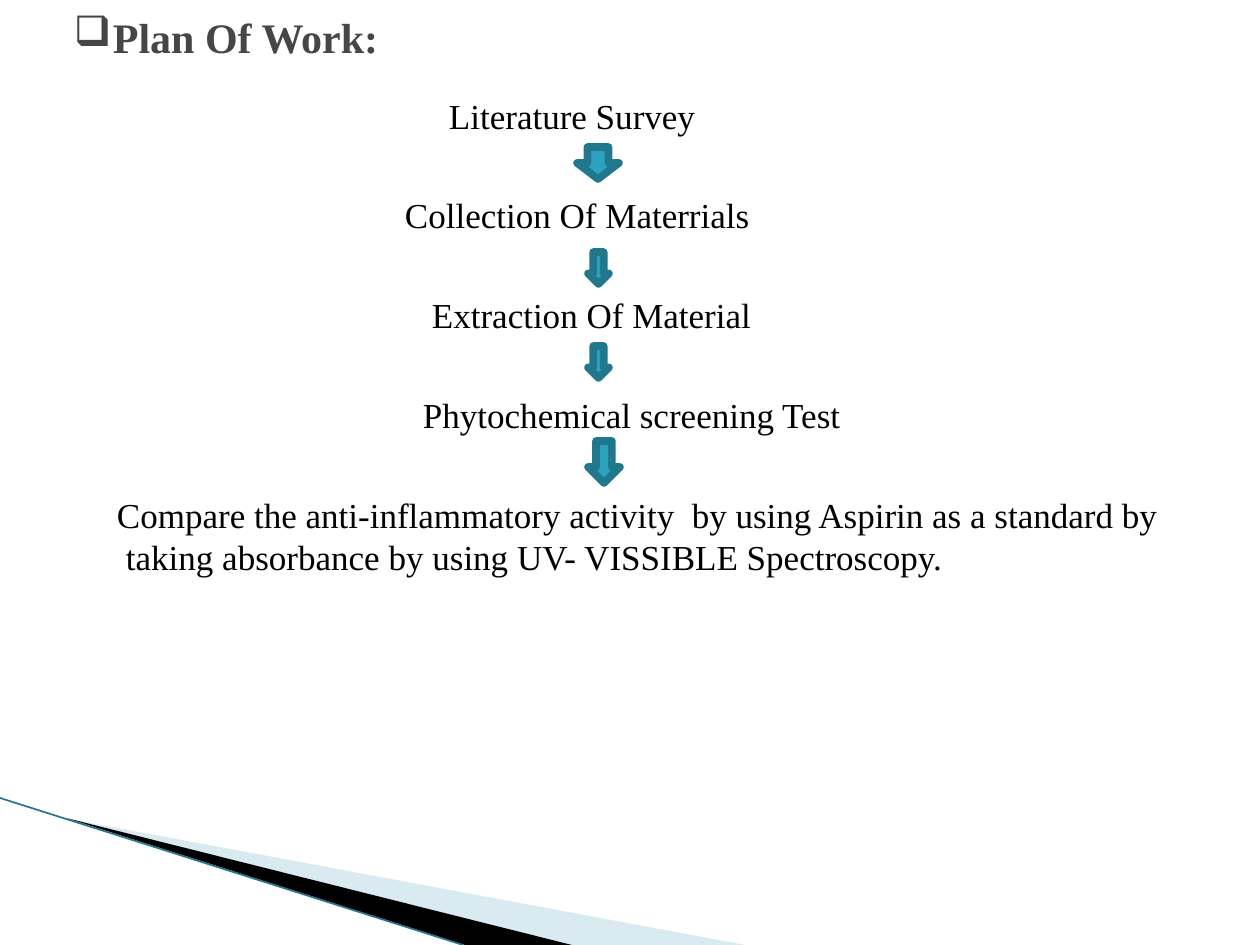
from lxml import etree
from pptx import Presentation
from pptx.dml.color import RGBColor
from pptx.enum.shapes import MSO_CONNECTOR, MSO_SHAPE
from pptx.enum.text import MSO_ANCHOR
from pptx.oxml.ns import qn
from pptx.util import Pt

LINE = MSO_CONNECTOR.STRAIGHT
ARROW = MSO_SHAPE.DOWN_ARROW
MIDDLE = MSO_ANCHOR.MIDDLE

SCALE = 914400 / 126  # EMU in one px
FONT = "Times New Roman"
COLORS = {
    "title": "464646", "text": "000000", "arrow": "2DA2BF", "edge": "21788D",
    "pale": "A0CBDC", "dark": "000000",
}

TITLE = "Plan Of Work:"
# text, left edge of the first line, shift of the lines after it
STEPS = [
    ("Literature Survey", 449, 0),
    ("Collection Of Materrials", 405, 0),
    ("Extraction Of Material", 432, 0),
    ("Phytochemical screening Test", 423, 0),
    ("Compare the anti-inflammatory activity  by using Aspirin as a standard "
     "by taking absorbance by using UV- VISSIBLE Spectroscopy.", 117, 9),
]
ARROWS = [(577, 147, 42, 32), (588, 252, 21, 32),
          (588, 346, 21, 32), (588, 441, 32, 42)]
# colour, opacity in percent, corners
WEDGES = [
    ("pale", 40, [(69, 819), (745, 945), (573, 945)]),
    ("dark", 100, [(66, 818), (572, 945), (465, 945)]),
]
BODY = (63, 94, 1134, 614)
HEAD = (63, 0, 1134, 73)
PAD = 11


def px(n):
    return round(n * SCALE)


def rgb(name):
    return RGBColor.from_string(COLORS[name])


def text_box(slide, box):
    frame = slide.shapes.add_textbox(*map(px, box)).text_frame
    frame.word_wrap = True
    frame.margin_left = frame.margin_right = px(PAD)
    frame.margin_top = frame.margin_bottom = 0
    return frame


def write(para, text, size, color, bold=False):
    run = para.add_run()
    run.text = text
    run.font.name, run.font.size, run.font.bold = FONT, Pt(size), bold
    run.font.color.rgb = rgb(color)


def indent(para, left, first):
    props = para._p.get_or_add_pPr()
    props.set("marL", str(px(left)))
    props.set("indent", str(px(first)))
    return props


def add_wedge(slide, color, alpha, points):
    build = slide.shapes.build_freeform(*points[0], scale=SCALE)
    build.add_line_segments(points[1:], close=True)
    shape = build.convert_to_shape()
    shape.shadow.inherit = False
    shape.fill.solid()
    shape.fill.fore_color.rgb = rgb(color)
    shape.line.fill.background()
    if alpha < 100:
        tone = shape._element.spPr.find(qn("a:solidFill"))[0]
        etree.SubElement(tone, qn("a:alpha")).set("val", str(alpha * 1000))


def add_edge(slide):
    edge = slide.shapes.add_connector(LINE, *map(px, (0, 798, 463, 945)))
    edge.line.color.rgb = rgb("edge")
    edge.line.width = Pt(0.95)
    etree.SubElement(edge._element.spPr, qn("a:effectLst"))


def add_arrow(slide, box):
    shape = slide.shapes.add_shape(ARROW, *map(px, box))
    shape.shadow.inherit = False
    shape.fill.solid()
    shape.fill.fore_color.rgb = rgb("arrow")
    shape.line.color.rgb = rgb("edge")
    shape.line.width = Pt(4.33)
    etree.SubElement(shape.line._get_or_add_ln(), qn("a:round"))


def add_steps(slide):
    frame = text_box(slide, BODY)
    for i, (text, left, shift) in enumerate(STEPS):
        para = frame.add_paragraph() if i else frame.paragraphs[0]
        para.space_before = Pt(33 if i else 0)
        indent(para, left + shift - BODY[0] - PAD, -shift)
        write(para, text, 20, "text")


def add_title(slide):
    frame = text_box(slide, HEAD)
    frame.vertical_anchor = MIDDLE
    para = frame.paragraphs[0]
    props = indent(para, 39, -39)
    etree.SubElement(props, qn("a:buChar")).set("char", "❑")
    write(para, TITLE, 24, "title", True)


def main():
    deck = Presentation()
    deck.slide_width, deck.slide_height = px(1260), px(945)
    slide = deck.slides.add_slide(deck.slide_layouts[6])
    for wedge in WEDGES:
        add_wedge(slide, *wedge)
    add_edge(slide)
    add_steps(slide)
    add_title(slide)
    for box in ARROWS:
        add_arrow(slide, box)
    deck.save("out.pptx")


if __name__ == "__main__":
    main()
